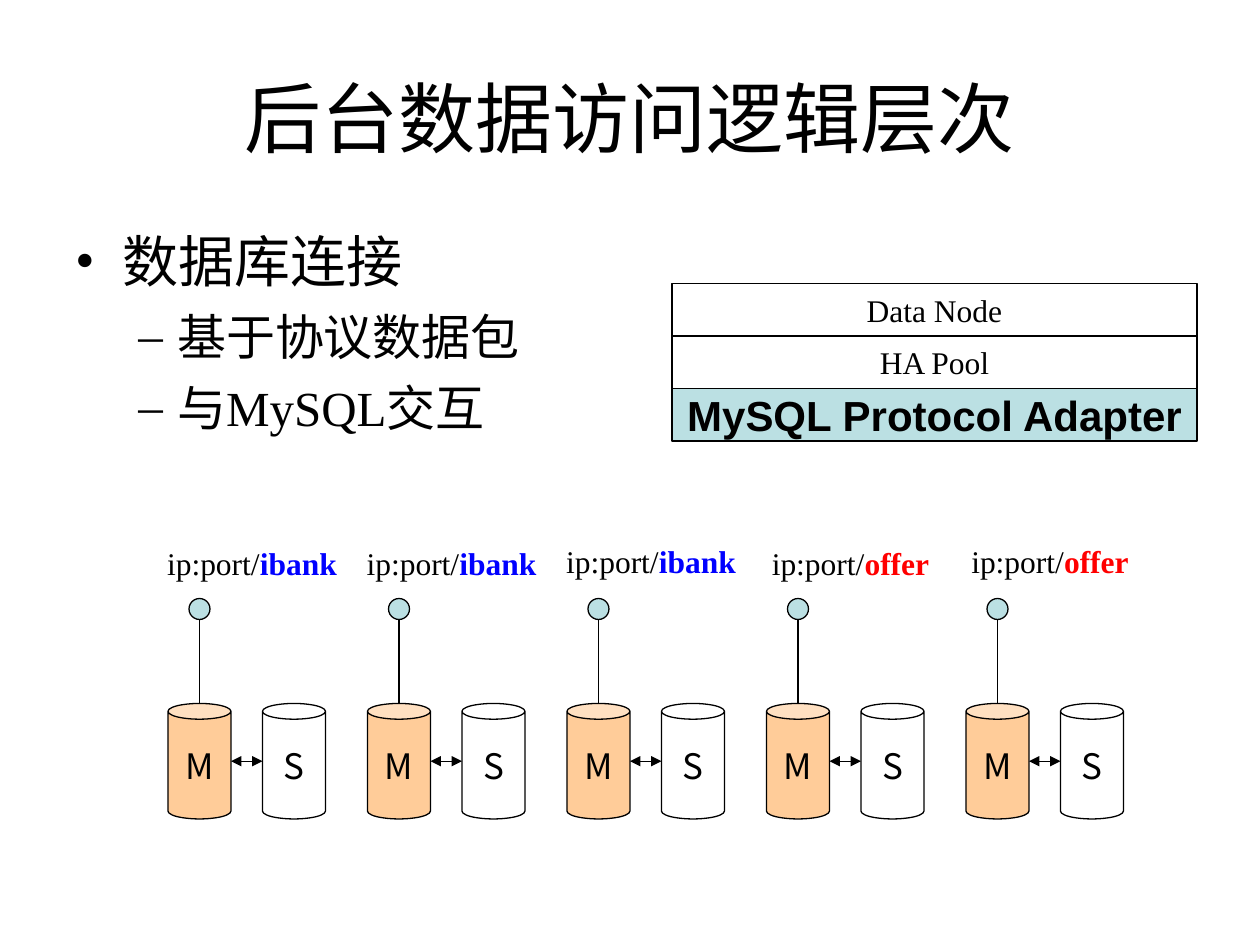
from lxml.etree import SubElement
from pptx import Presentation
from pptx.dml.color import RGBColor
from pptx.enum.shapes import MSO_CONNECTOR, MSO_SHAPE
from pptx.enum.text import MSO_ANCHOR, PP_ALIGN
from pptx.oxml.ns import qn
from pptx.util import Pt

PX = 7620  # EMU per px, 120 px to the inch

BLACK = RGBColor(0x00, 0x00, 0x00)
WHITE = RGBColor(0xFF, 0xFF, 0xFF)
TEAL = RGBColor(0xBB, 0xE0, 0xE3)
ORANGE = RGBColor(0xFF, 0xCC, 0x99)
BLUE = RGBColor(0x00, 0x00, 0xFF)
RED = RGBColor(0xFF, 0x00, 0x00)

SERIF = "Times New Roman"
SANS = "Arial"
CJK = "Noto Sans CJK SC"

deck = Presentation()
deck.slide_width, deck.slide_height = 1200 * PX, 900 * PX
page = deck.slides.add_slide(deck.slide_layouts[5])


def add_figure(kind, left, top, width, height, fill, text="", size=18, face=SERIF, bold=False):
    """Add a black-outlined preset shape with centred text."""
    figure = page.shapes.add_shape(kind, left * PX, top * PX, width * PX, height * PX)
    figure.shadow.inherit = False
    figure.fill.solid()
    figure.fill.fore_color.rgb = fill
    figure.line.color.rgb = BLACK
    figure.line.width = Pt(0.75)
    if text:
        frame = figure.text_frame
        frame.word_wrap = False
        frame.vertical_anchor = MSO_ANCHOR.MIDDLE
        para = frame.paragraphs[0]
        para.text = text
        para.alignment = PP_ALIGN.CENTER
        para.font.name, para.font.size, para.font.bold = face, Pt(size), bold
        para.font.color.rgb = BLACK
    return figure


def add_line(x1, y1, x2, y2, arrows=False):
    line = page.shapes.add_connector(MSO_CONNECTOR.STRAIGHT, x1 * PX, y1 * PX, x2 * PX, y2 * PX)
    line.line.color.rgb = BLACK
    line.line.width = Pt(0.75)
    if arrows:
        outline = line.line._get_or_add_ln()
        for end in ("a:headEnd", "a:tailEnd"):
            SubElement(outline, qn(end), type="triangle")
    SubElement(line._element.spPr, qn("a:effectLst"))


# Title
title = page.shapes.title
title.left, title.top, title.width, title.height = 60 * PX, 36 * PX, 1080 * PX, 150 * PX
title.text_frame.vertical_anchor = MSO_ANCHOR.MIDDLE
para = title.text_frame.paragraphs[0]
para.text = "后台数据访问逻辑层次"
para.alignment = PP_ALIGN.CENTER
para.font.name, para.font.size = SANS, Pt(44)
para.font.color.rgb = BLACK

# Bullets: text, level, bullet, margin, hanging, size, space before, font
bullets = [
    ("数据库连接", 0, "•", 45, 45, 32, 0, SANS),
    ("基于协议数据包", 1, "–", 97, 37, 28, 7, SANS),
    ("与MySQL交互", 1, "–", 97, 37, 28, 7, SERIF),
]
body = page.shapes.add_textbox(60 * PX, 210 * PX, 1080 * PX, 594 * PX)
frame = body.text_frame
frame.word_wrap = True
for index, (text, level, mark, margin, hanging, size, before, face) in enumerate(bullets):
    para = frame.add_paragraph() if index else frame.paragraphs[0]
    para.text = text
    para.level = level
    properties = para._p.get_or_add_pPr()
    properties.set("marL", str(margin * PX))
    properties.set("indent", str(-hanging * PX))
    SubElement(properties, qn("a:buFont"), typeface=SERIF)
    SubElement(properties, qn("a:buChar"), char=mark)
    para.space_before = Pt(before)
    para.font.name, para.font.size = face, Pt(size)
    para.font.color.rgb = BLACK

# Access layers
layers = [
    ("Data Node", WHITE, 18, SERIF, False),
    ("HA Pool", WHITE, 18, SERIF, False),
    ("MySQL Protocol Adapter", TEAL, 24, SANS, True),
]
for row, (text, fill, size, face, bold) in enumerate(layers):
    add_figure(MSO_SHAPE.RECTANGLE, 640, 270 + 50 * row, 500, 50, fill, text, size, face, bold)

# Master and slave pairs, each with its endpoint and address: schema, colour, label top
endpoints = [
    ("ibank", BLUE, 512),
    ("ibank", BLUE, 512),
    ("ibank", BLUE, 510),
    ("offer", RED, 512),
    ("offer", RED, 510),
]
for column, (schema, color, label_top) in enumerate(endpoints):
    left = 160 + 190 * column
    for x, fill, role in ((left + 90, WHITE, "S"), (left, ORANGE, "M")):
        database = add_figure(MSO_SHAPE.CAN, x, 670, 60, 110, fill, role, 20, CJK)
        database.adjustments[0] = 0.25
    add_line(left + 60, 725, left + 90, 725, arrows=True)
    add_figure(MSO_SHAPE.OVAL, left + 20, 570, 20, 20, TEAL)
    add_line(left + 30, 670, left + 30, 590)

    label = page.shapes.add_textbox((left - 20) * PX, label_top * PX, 200 * PX, 48 * PX)
    label.text_frame.word_wrap = True
    para = label.text_frame.paragraphs[0]
    para.alignment = PP_ALIGN.CENTER
    para.font.name, para.font.size = SERIF, Pt(18)
    for text, ink, bold in (("ip:port/", BLACK, False), (schema, color, True)):
        span = para.add_run()
        span.text = text
        span.font.name, span.font.size, span.font.bold = SERIF, Pt(18), bold
        span.font.color.rgb = ink

deck.save("out.pptx")
